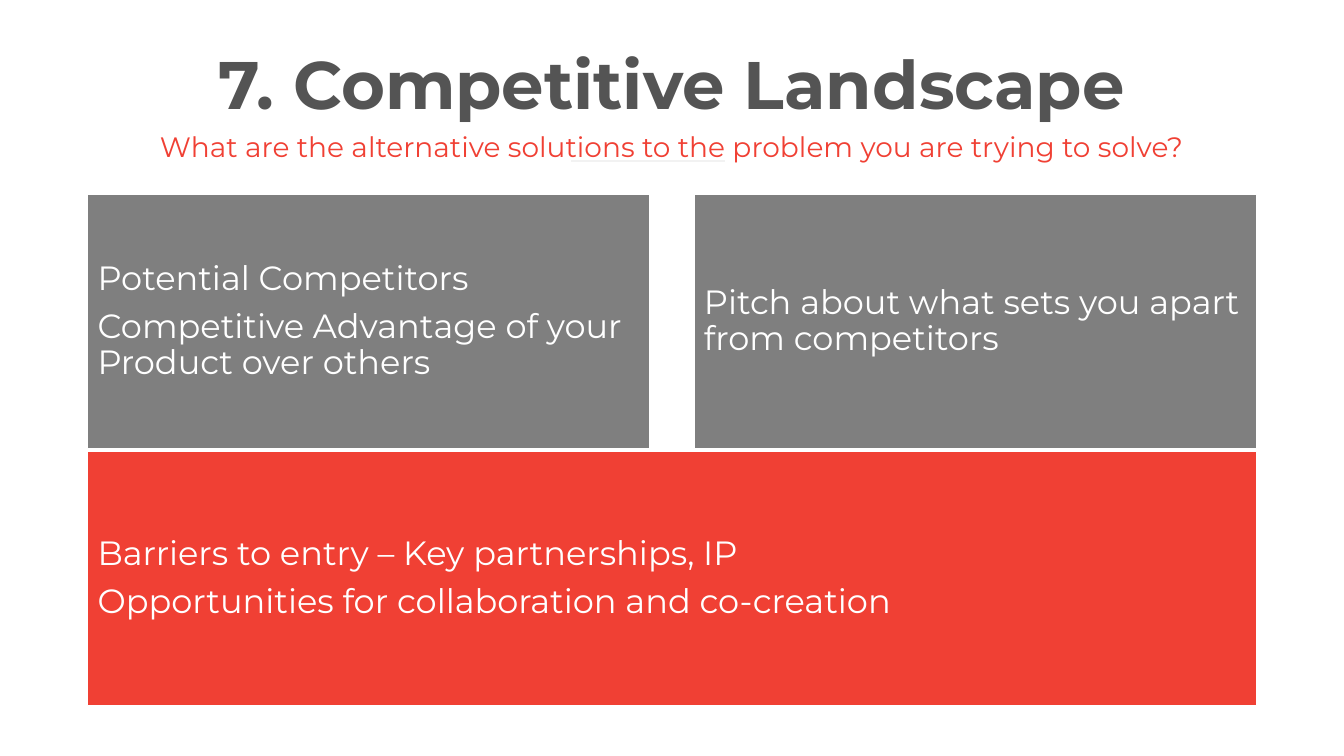
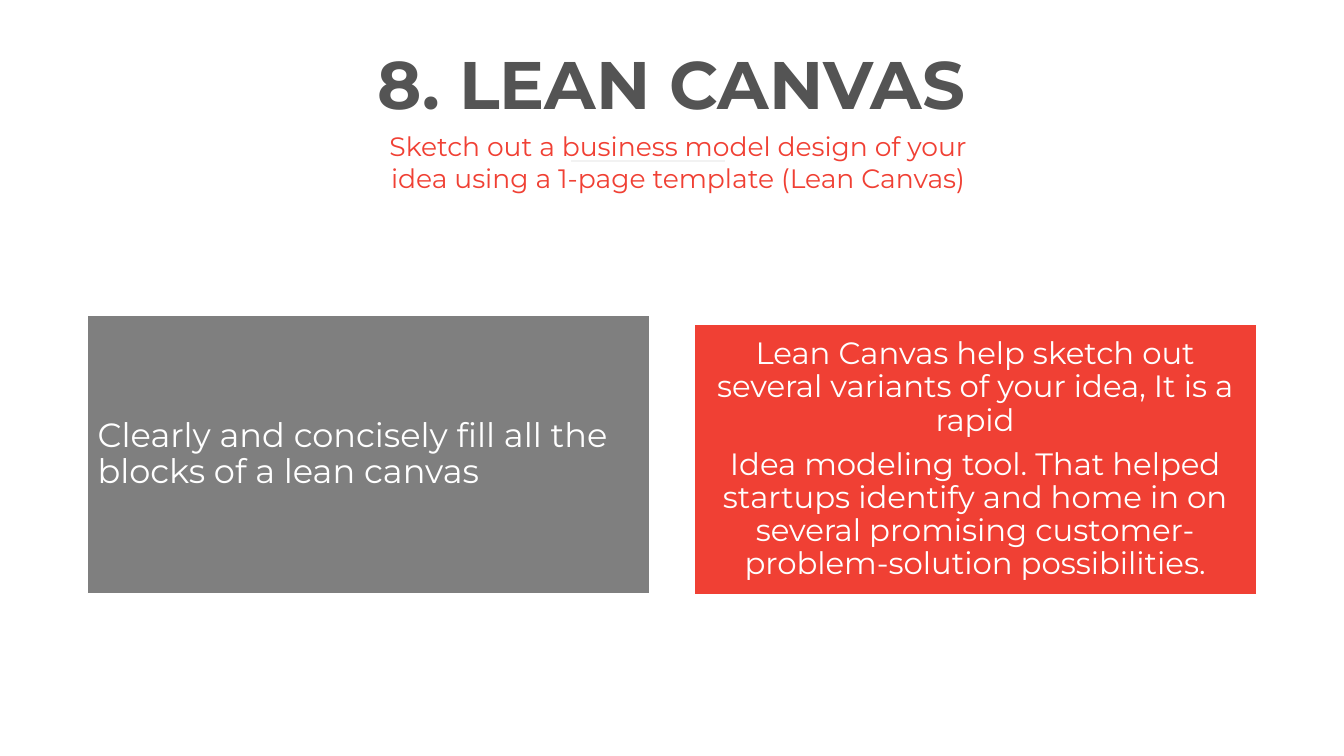
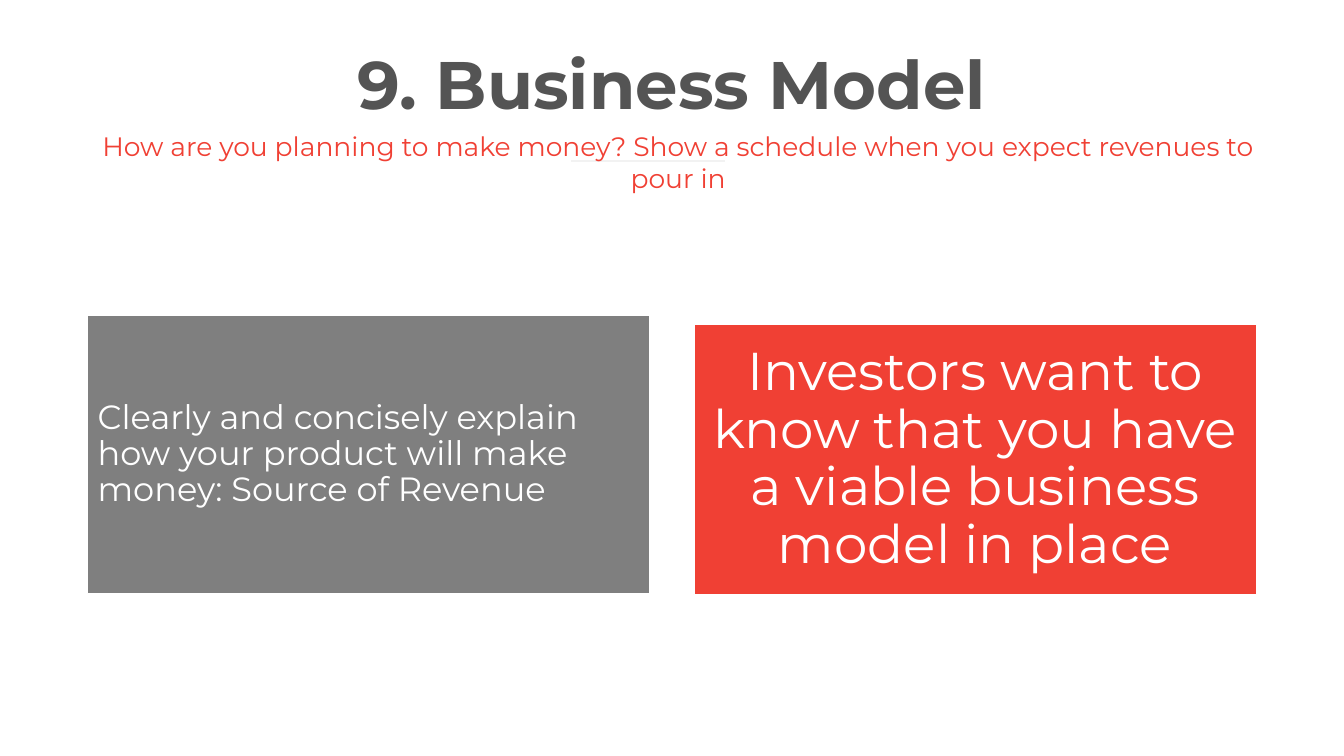
from dataclasses import dataclass

from lxml import etree
from pptx import Presentation
from pptx.dml.color import RGBColor
from pptx.enum.shapes import MSO_CONNECTOR, MSO_SHAPE
from pptx.enum.text import MSO_ANCHOR, MSO_AUTO_SIZE, PP_ALIGN
from pptx.oxml.ns import qn
from pptx.util import Cm, Pt

RECT = MSO_SHAPE.RECTANGLE
LINE = MSO_CONNECTOR.STRAIGHT
TOP = MSO_ANCHOR.TOP
MIDDLE = MSO_ANCHOR.MIDDLE
FIXED = MSO_AUTO_SIZE.NONE
LEFT = PP_ALIGN.LEFT
CENTER = PP_ALIGN.CENTER


@dataclass(frozen=True)
class Theme:
    font: str = "Montserrat"
    dark: RGBColor = RGBColor(0x54, 0x54, 0x54)
    gray: RGBColor = RGBColor(0x7F, 0x7F, 0x7F)
    red: RGBColor = RGBColor(0xF0, 0x40, 0x34)
    pale: RGBColor = RGBColor(0xF2, 0xF2, 0xF2)
    white: RGBColor = RGBColor(0xFF, 0xFF, 0xFF)
    title: int = 48
    lead: int = 20
    long: int = 19
    body: int = 24
    small: int = 22
    large: int = 38


theme = Theme()


def write(frame, text, size, color, align, anchor, space=1.0, after=0, bold=False):
    frame.text = text
    frame.word_wrap = True
    frame.auto_size = FIXED
    frame.vertical_anchor = anchor
    for para in frame.paragraphs:
        para.alignment = align
        para.line_spacing = space
        para.space_before = Pt(0)
        para.space_after = Pt(after)
        for run in para.runs:
            run.font.name = theme.font
            run.font.size = Pt(size)
            run.font.bold = bold
            run.font.color.rgb = color


def add_card(slide, place, text, fill, size=theme.body, align=LEFT, inset=0.25):
    card = slide.shapes.add_shape(RECT, *map(Cm, place))
    card.shadow.inherit = False
    card.fill.solid()
    card.fill.fore_color.rgb = fill
    card.line.color.rgb = theme.white
    card.line.width = Pt(1)
    frame = card.text_frame
    frame.margin_left = frame.margin_right = Cm(inset)
    frame.margin_top = frame.margin_bottom = Cm(inset)
    write(frame, text, size, theme.white, align, MIDDLE, 0.9, 0.35 * size)


edge, wide, gap = 2.21, 14.17, 1.11
right = edge + wide + gap
high = 6.4
upper = (edge, 4.9, wide, high)
beside = (right, 4.9, wide, high)
lower = (edge, 11.38, 2 * wide + gap, high)
first = (edge, 7.95, wide, 7.01)
second = (right, 8.18, wide, 6.81)
short = (3.33, 3.15, 27.2, 1.12)
broad = (2.08, 3.15, 30.02, 1.88)

pages = [
    (
        "7. Competitive Landscape",
        "What are the alternative solutions to the problem you are trying to solve?",
        short, theme.lead,
        [
            (upper, "Potential Competitors\nCompetitive Advantage of your Product over others", theme.gray),
            (beside, "Pitch about what sets you apart from competitors", theme.gray),
            (lower, "Barriers to entry – Key partnerships, IP\nOpportunities for collaboration and co-creation", theme.red),
        ],
    ),
    (
        "8. LEAN CANVAS",
        "Sketch out a business model design of your\nidea using a 1-page template (Lean Canvas)",
        broad, theme.long,
        [
            (first, "Clearly and concisely fill all the blocks of a lean canvas", theme.gray),
            (second, "Lean Canvas help sketch out several variants of your idea, It is a rapid\n"
             "Idea modeling tool. That helped startups identify and home in on several "
             "promising customer-problem-solution possibilities.",
             theme.red, theme.small, CENTER, 0.23),
        ],
    ),
    (
        "9. Business Model",
        "How are you planning to make money? Show a schedule when you expect revenues to pour in",
        broad, theme.long,
        [
            (first, "Clearly and concisely explain how your product will make money: Source of Revenue", theme.gray),
            (second, "Investors want to know that you have a viable business model in place",
             theme.red, theme.large, CENTER, 0.41),
        ],
    ),
]

deck = Presentation()
deck.slide_width = Cm(33.87)
deck.slide_height = Cm(19.05)
layout = deck.slide_layouts[5]

for head, lead, place, size, cards in pages:
    slide = deck.slides.add_slide(layout)

    rule = slide.shapes.add_connector(LINE, Cm(14.4), Cm(4.06), Cm(18.26), Cm(4.06))
    rule.line.color.rgb = theme.pale
    rule.line.width = Pt(2)
    etree.SubElement(rule._element.spPr, qn("a:effectLst"))

    title = slide.shapes.title
    title.left, title.top, title.width, title.height = map(Cm, (2.08, 1.32, 29.69, 1.9))
    write(title.text_frame, head, theme.title, theme.dark, CENTER, TOP, 0.8, bold=True)

    box = slide.shapes.add_textbox(*map(Cm, place))
    write(box.text_frame, lead, size, theme.red, CENTER, TOP)

    for card in cards:
        add_card(slide, *card)

deck.save("out.pptx")
